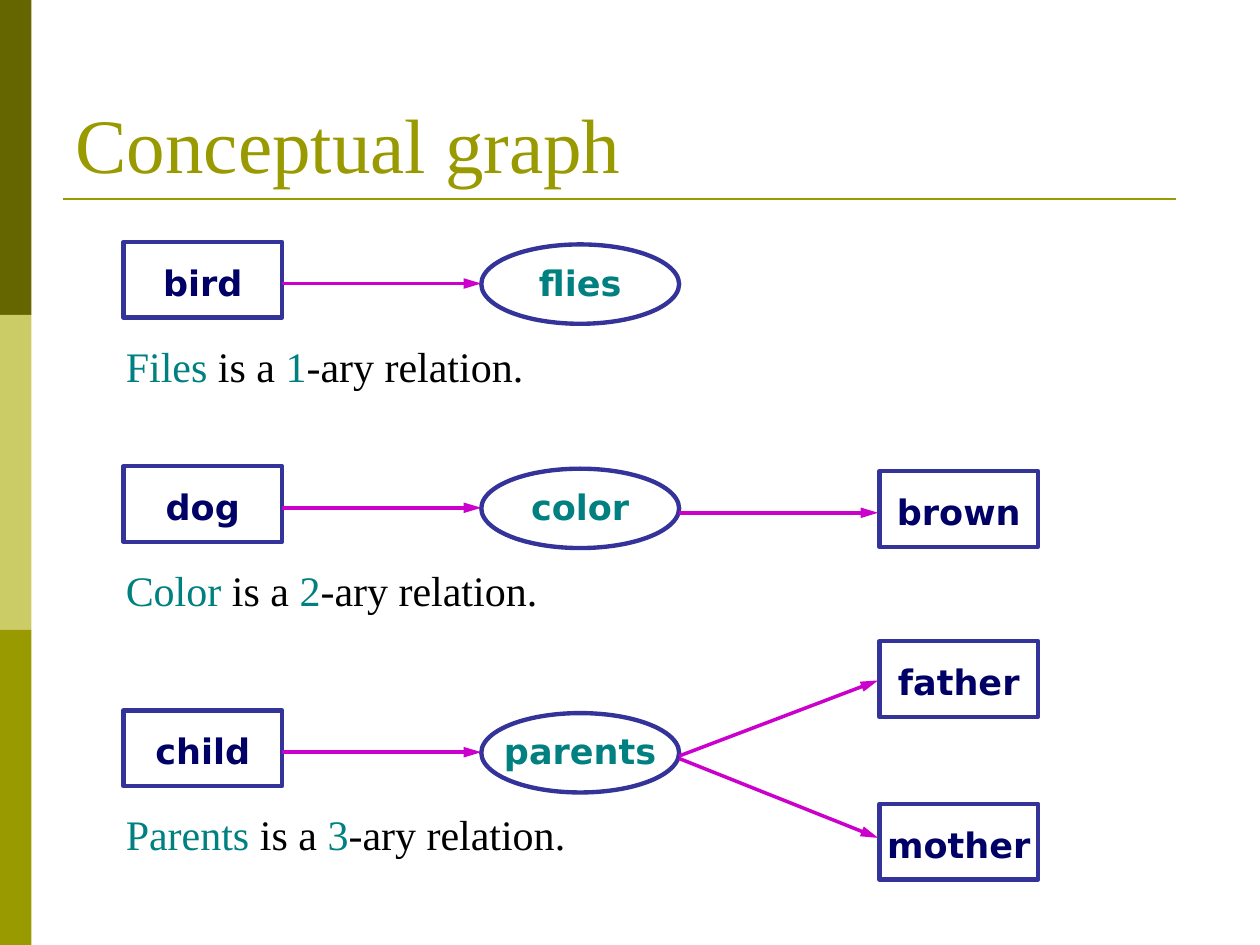
from lxml import etree
from pptx import Presentation
from pptx.dml.color import RGBColor
from pptx.enum.shapes import MSO_CONNECTOR as CONNECTOR, MSO_SHAPE as SHAPE
from pptx.enum.text import MSO_ANCHOR as ANCHOR, MSO_AUTO_SIZE as AUTO_SIZE, PP_ALIGN as ALIGN
from pptx.oxml.ns import qn
from pptx.util import Pt

PX = 9144  # 100 px to the inch

BLACK = RGBColor(0x00, 0x00, 0x00)
OLIVE = RGBColor(0x99, 0x99, 0x00)
DARK_OLIVE = RGBColor(0x66, 0x66, 0x00)
LIGHT_OLIVE = RGBColor(0xCC, 0xCC, 0x66)
NAVY = RGBColor(0x00, 0x00, 0x66)
INDIGO = RGBColor(0x33, 0x33, 0x99)
TEAL = RGBColor(0x00, 0x80, 0x80)
MAGENTA = RGBColor(0xCC, 0x00, 0xCC)
SERIF, SANS = "Times New Roman", "DejaVu Sans"

BOX_WIDTH, BOX_HEIGHT = 126, 60
OVAL_WIDTH, OVAL_HEIGHT = 157, 63
BOX_LEFT, OVAL_LEFT, TARGET_LEFT = 98, 382, 698

presentation = Presentation()
presentation.slide_width, presentation.slide_height = 1000 * PX, 750 * PX
slide = presentation.slides.add_slide(presentation.slide_layouts[5])


def add_node(kind, label, left, top):
    """Add an outlined concept box or relation oval with its label."""
    oval = kind == SHAPE.OVAL
    width, height = (OVAL_WIDTH, OVAL_HEIGHT) if oval else (BOX_WIDTH, BOX_HEIGHT)
    shape = slide.shapes.add_shape(kind, left * PX, top * PX, width * PX, height * PX)
    shape.shadow.inherit = False
    shape.fill.background()
    shape.line.color.rgb = INDIGO
    shape.line.width = Pt(2.5)
    frame = shape.text_frame
    frame.word_wrap = False
    frame.vertical_anchor = ANCHOR.MIDDLE
    frame.margin_left = frame.margin_right = 0
    frame.margin_top, frame.margin_bottom = (0, 3 * PX) if oval else (4 * PX, 0)
    paragraph = frame.paragraphs[0]
    paragraph.alignment = ALIGN.CENTER
    run = paragraph.add_run()
    run.text = label
    run.font.name, run.font.size, run.font.bold = SANS, Pt(20), True
    run.font.color.rgb = TEAL if oval else NAVY


def add_line(start, end, color, width, arrow=False):
    """Add a straight line, with an arrowhead at its end if asked for."""
    line = slide.shapes.add_connector(CONNECTOR.STRAIGHT, *(v * PX for v in start + end))
    line.line.color.rgb = color
    line.line.width = Pt(width)
    if arrow:
        etree.SubElement(line.line._get_or_add_ln(), qn("a:tailEnd"),
                         type="triangle", w="med", len="lg")
    etree.SubElement(line._element.spPr, qn("a:effectLst"))


# Side bands and title rule
for index, color in enumerate((DARK_OLIVE, LIGHT_OLIVE, OLIVE)):
    band = slide.shapes.add_shape(SHAPE.RECTANGLE, 0, index * 250 * PX, 25 * PX, 250 * PX)
    band.shadow.inherit = False
    band.fill.solid()
    band.fill.fore_color.rgb = color
    band.line.fill.background()
add_line((50, 158), (933, 158), OLIVE, 1.5)

# Title
title = slide.shapes.title
title.left, title.top, title.width, title.height = 50 * PX, 30 * PX, 900 * PX, 125 * PX
title.text_frame.auto_size = AUTO_SIZE.NONE
title.text_frame.vertical_anchor = ANCHOR.BOTTOM
paragraph = title.text_frame.paragraphs[0]
paragraph.alignment = ALIGN.LEFT
run = paragraph.add_run()
run.text = "Conceptual graph"
run.font.name, run.font.size = SERIF, Pt(44)
run.font.color.rgb = OLIVE

# One row per relation: top, concept, relation, caption subject, arity, caption width
rows = (
    (192, "bird", "flies", "Files", "1", 337),
    (370, "dog", "color", "Color", "2", 394),
    (564, "child", "parents", "Parents", "3", 409),
)
for top, concept, relation, subject, arity, width in rows:
    add_node(SHAPE.RECTANGLE, concept, BOX_LEFT, top)
    add_node(SHAPE.OVAL, relation, OVAL_LEFT, top + 2)
    add_line((BOX_LEFT + BOX_WIDTH, top + 33), (OVAL_LEFT, top + 33), MAGENTA, 2, arrow=True)

    caption = slide.shapes.add_textbox(90 * PX, (top + 73) * PX, width * PX, 50 * PX)
    caption.text_frame.word_wrap = True
    paragraph = caption.text_frame.paragraphs[0]
    for text, color in ((subject, TEAL), (" is a ", BLACK),
                        (arity, TEAL), ("-ary relation.", BLACK)):
        run = paragraph.add_run()
        run.text = text
        run.font.name, run.font.size = SERIF, Pt(24)
        run.font.color.rgb = color

# Related concepts on the right: label, box top, arrow start and end heights
targets = (
    ("brown", 374, 407, 407),
    ("father", 509, 600, 540),
    ("mother", 638, 602, 665),
)
for label, top, start, end in targets:
    add_node(SHAPE.RECTANGLE, label, TARGET_LEFT, top)
    add_line((OVAL_LEFT + OVAL_WIDTH, start), (TARGET_LEFT - 1, end), MAGENTA, 2, arrow=True)

presentation.save("out.pptx")
